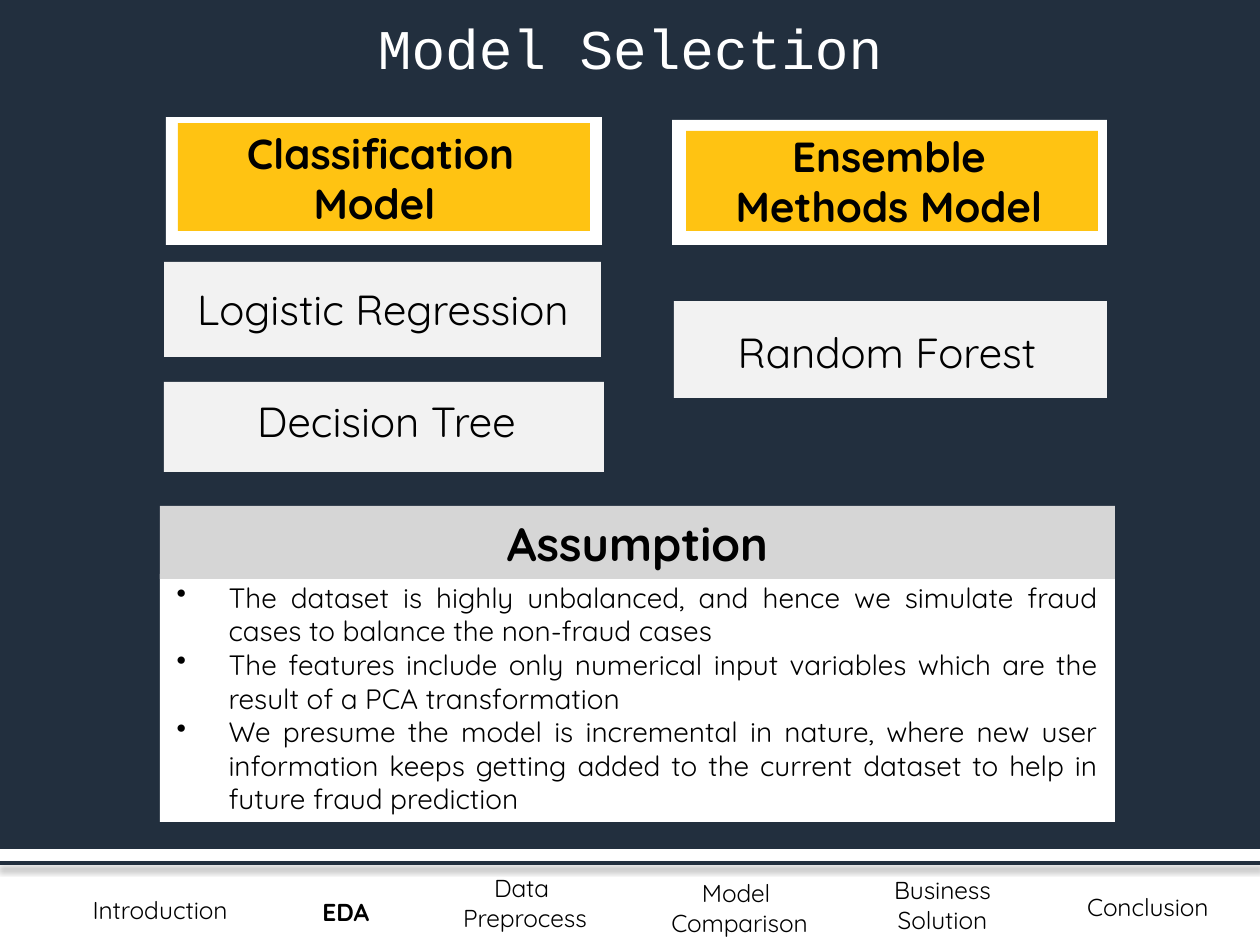
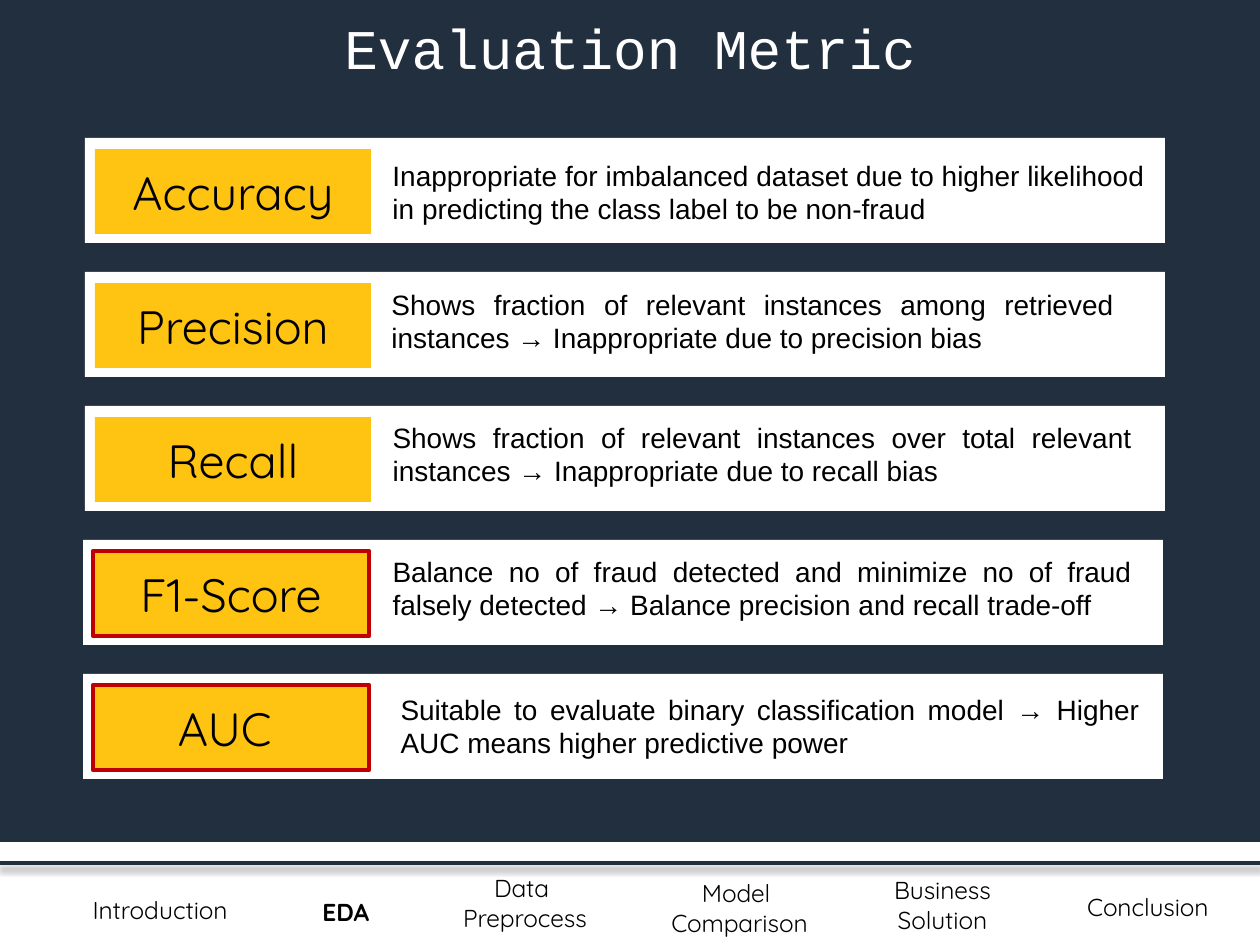
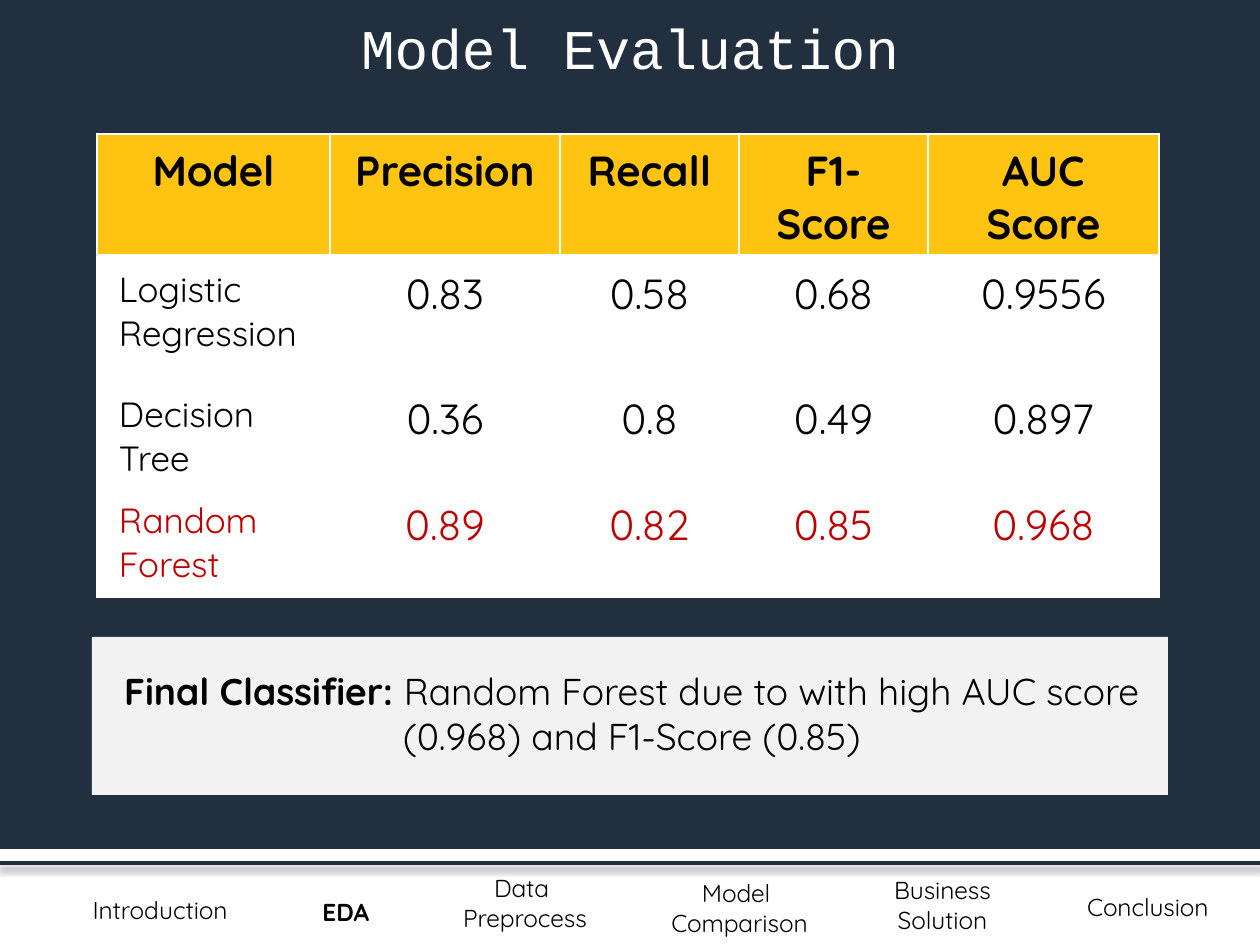
from dataclasses import dataclass

from lxml import etree
from pptx import Presentation
from pptx.dml.color import RGBColor
from pptx.enum.shapes import MSO_CONNECTOR, MSO_SHAPE
from pptx.enum.text import MSO_ANCHOR, PP_ALIGN
from pptx.oxml.ns import qn
from pptx.util import Emu, Pt

RECT = MSO_SHAPE.RECTANGLE
LINE = MSO_CONNECTOR.STRAIGHT
LEFT, MID, FULL = PP_ALIGN.LEFT, PP_ALIGN.CENTER, PP_ALIGN.JUSTIFY
CENTER = MSO_ANCHOR.MIDDLE
SCALE = 914400 / 168
WIDE, HIGH = 1260, 945


@dataclass(frozen=True)
class Style:
    size: float
    face: str = "Quicksand"
    color: str = "000000"
    bold: bool = False
    align: PP_ALIGN = MID
    lead: float = 0


class Theme:
    navy = "222F3E"
    gold = "FFC312"
    white = "FFFFFF"
    pale = "F2F2F2"
    gray = "D6D6D6"
    red = "C00000"
    black = "000000"
    title = Style(24, "Courier New", white)
    nav = Style(10.5)
    nav_left = Style(10.5, align=LEFT)
    nav_on = Style(10.5, bold=True, align=LEFT)
    model = Style(18)
    group = Style(18, bold=True, lead=1.2)
    head = Style(20, bold=True)
    metric = Style(20)
    list = Style(12, align=FULL, lead=1.2)
    note = Style(12, "Arial", align=FULL, lead=1.2)
    final = Style(16, lead=1.2)
    top_cell = Style(18, bold=True)


def px(n):
    return Emu(round(n * SCALE))


def rgb(color):
    return RGBColor.from_string(color)


def node(parent, tag, **attrs):
    return etree.SubElement(parent, qn(tag), {k: str(v) for k, v in attrs.items()})


def add_dot(para, indent):
    props = para._p.get_or_add_pPr()
    props.set("marL", str(px(indent)))
    props.set("indent", str(-px(indent)))
    node(node(props, "a:buClr"), "a:srgbClr", val=Theme.black)
    node(props, "a:buChar", char="•")


def write(frame, text, style, dots=False, term=""):
    frame.word_wrap = True
    for i, words in enumerate(text.split("\n")):
        para = frame.paragraphs[0] if i == 0 else frame.add_paragraph()
        para.alignment = style.align
        if style.lead:
            para.line_spacing = Pt(style.size * style.lead)
        if dots:
            add_dot(para, 52)
        font = para.font
        font.size, font.name = Pt(style.size), style.face
        font.color.rgb = rgb(style.color)
        if term:
            run = para.add_run()
            run.text = term
            run.font.bold = True
        else:
            font.bold = style.bold
        para.add_run().text = words


def label(slide, place, text, style, term=""):
    box = slide.shapes.add_textbox(*map(px, place))
    write(box.text_frame, text, style, term=term)


def panel(slide, place, fill, text="", style=None, edge=None, dots=False):
    shape = slide.shapes.add_shape(RECT, *map(px, place))
    shape.shadow.inherit = False
    shape.fill.solid()
    shape.fill.fore_color.rgb = rgb(fill)
    if edge:
        shape.line.color.rgb = rgb(edge)
        shape.line.width = Pt(2)
    else:
        shape.line.fill.background()
    if text:
        shape.text_frame.vertical_anchor = CENTER
        write(shape.text_frame, text, style, dots)


def rule(slide, y):
    line = slide.shapes.add_connector(LINE, 0, px(y), px(WIDE), px(y))
    line.line.color.rgb = rgb(Theme.navy)
    line.line.width = Pt(2)
    glow = node(node(line._element.spPr, "a:effectLst"), "a:outerShdw",
                blurRad=Pt(3.1), dist=Pt(1.6), dir=5400000, rotWithShape=0)
    node(node(glow, "a:srgbClr", val=Theme.black), "a:alpha", val=38000)


def start(deck, title, base=849):
    slide = deck.slides.add_slide(deck.slide_layouts[6])
    rule(slide, 863)
    for place, text, style in (
        ((76, 887, 255, 49), "Introduction", Theme.nav_left),
        ((306, 889, 118, 47), "EDA", Theme.nav_on),
        ((442, 865, 166, 76), "Data \nPreprocess", Theme.nav),
        ((647, 870, 185, 76), "Model \nComparison", Theme.nav),
        ((850, 867, 185, 76), "Business Solution", Theme.nav),
        ((1063, 884, 170, 47), "Conclusion", Theme.nav),
    ):
        label(slide, place, text, style)
    panel(slide, (0, 0, WIDE, base), Theme.navy)
    label(slide, (0, 5, WIDE, 84), title, Theme.title)
    return slide


def choose(deck):
    slide = start(deck, "Model Selection")
    for frame, fill, place, text in (
        ((166, 117, 436, 128), (178, 123, 412, 108),
         (178, 119, 405, 119), "Classification Model "),
        ((672, 120, 435, 125), (686, 131, 412, 100),
         (684, 122, 410, 119), "Ensemble Methods Model"),
    ):
        panel(slide, frame, Theme.white)
        panel(slide, fill, Theme.gold)
        label(slide, place, text, Theme.group)
    for card, place, text in (
        ((164, 262, 437, 95), (163, 275, 440, 67), "Logistic Regression"),
        ((164, 382, 440, 90), (168, 387, 437, 67), "Decision Tree"),
        ((674, 301, 433, 97), (667, 318, 440, 67), "Random Forest"),
    ):
        panel(slide, card, Theme.pale)
        label(slide, place, text, Theme.model)
    points = "\n".join((
        "The dataset is highly unbalanced, and hence we simulate fraud "
        "cases to balance the non-fraud cases",
        "The features include only numerical input variables which are "
        "the result of a PCA transformation",
        "We presume the model is incremental in nature, where new user "
        "information keeps getting added to the current dataset to help "
        "in future fraud prediction",
    ))
    panel(slide, (160, 574, 955, 248), Theme.white, points, Theme.list, dots=True)
    panel(slide, (160, 506, 955, 73), Theme.gray, "Assumption", Theme.head)


def define(deck):
    slide = start(deck, "Evaluation Metric", 842)
    rows = (
        ("Accuracy", None, (376, 12, 786),
         "Inappropriate for imbalanced dataset due to higher likelihood "
         "in predicting the class label to be non-fraud "),
        ("Precision", None, (375, 7, 756),
         "Shows fraction of relevant instances among retrieved instances "
         "→ Inappropriate due to precision bias"),
        ("Recall", None, (376, 6, 773),
         "Shows fraction of relevant instances over total relevant "
         "instances → Inappropriate due to recall bias"),
        ("F1-Score", Theme.red, (376, 6, 773),
         "Balance no of fraud detected and minimize no of fraud falsely "
         "detected → Balance precision and recall trade-off"),
        ("AUC ", Theme.red, (384, 10, 773),
         "Suitable to evaluate binary classification model → Higher AUC "
         "means higher predictive power"),
    )
    for i, (name, edge, (x, drop, width), text) in enumerate(rows):
        left, top = 83 if edge else 85, 138 + 134 * i
        panel(slide, (left, top, 1080, 105), Theme.white)
        panel(slide, (left + 10, top + 11, 276, 85), Theme.gold,
              name, Theme.metric, edge)
        label(slide, (x, top + drop, width, 84), text, Theme.note)


def edge_cell(cell, base):
    props = cell._tc.get_or_add_tcPr()
    sides = (("a:lnL", 1), ("a:lnR", 1), ("a:lnT", 1), ("a:lnB", base))
    for i, (tag, width) in enumerate(sides):
        line = etree.Element(qn(tag), {"w": str(Pt(width))})
        node(node(line, "a:solidFill"), "a:srgbClr", val=Theme.white)
        props.insert(i, line)


def grid(slide, place, cols, rows, data):
    table = slide.shapes.add_table(len(rows), len(cols), *map(px, place)).table
    table.horz_banding = False
    for col, width in zip(table.columns, cols):
        col.width = px(width)
    for r, (height, words) in enumerate(zip(rows, data)):
        table.rows[r].height = px(height)
        color = Theme.red if r == len(rows) - 1 else Theme.black
        for c, text in enumerate(words):
            cell = table.cell(r, c)
            cell.margin_left = cell.margin_right = px(22)
            cell.margin_top = cell.margin_bottom = px(11)
            cell.fill.solid()
            cell.fill.fore_color.rgb = rgb(Theme.white if r else Theme.gold)
            edge_cell(cell, 1 if r else 3)
            if r == 0:
                style = Theme.top_cell
            elif c == 0:
                style = Style(15, color=color, align=LEFT)
            else:
                style = Style(18, color=color)
            write(cell.text_frame, text, style)


def compare(deck):
    slide = start(deck, "Model Evaluation")
    grid(slide, (97, 134, 1062, 460), (233, 230, 179, 189, 231),
         (120, 125, 106, 109), (
             ("Model", "Precision", "Recall", "F1-Score", "AUC Score"),
             ("Logistic Regression", "0.83", "0.58", "0.68", "0.9556"),
             ("Decision Tree", "0.36", "0.8", "0.49", "0.897"),
             ("Random Forest", "0.89", "0.82", "0.85", "0.968"),
         ))
    panel(slide, (92, 637, 1076, 158), Theme.pale)
    label(slide, (96, 660, 1072, 108),
          "Random Forest due to with high AUC score (0.968) and F1-Score (0.85)",
          Theme.final, "Final Classifier: ")


def main():
    deck = Presentation()
    deck.slide_width, deck.slide_height = px(WIDE), px(HIGH)
    choose(deck)
    define(deck)
    compare(deck)
    deck.save("out.pptx")


if __name__ == "__main__":
    main()
